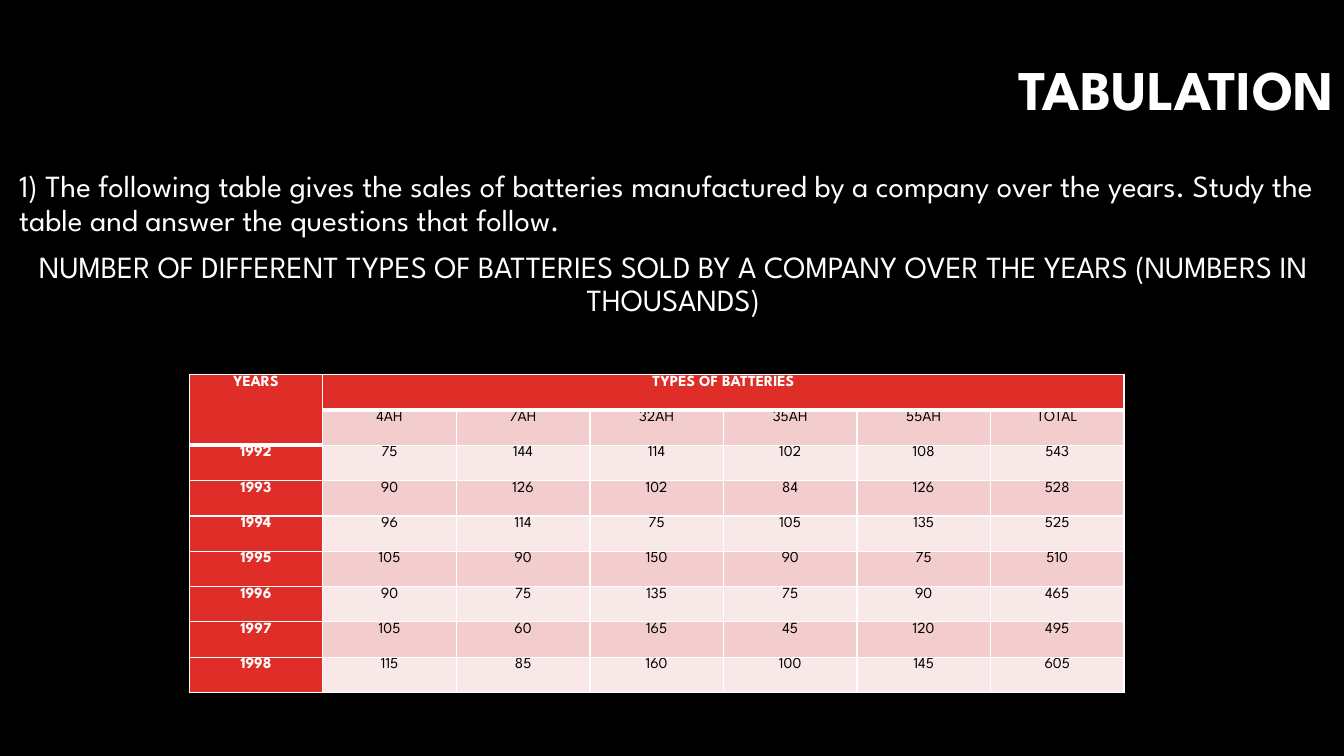
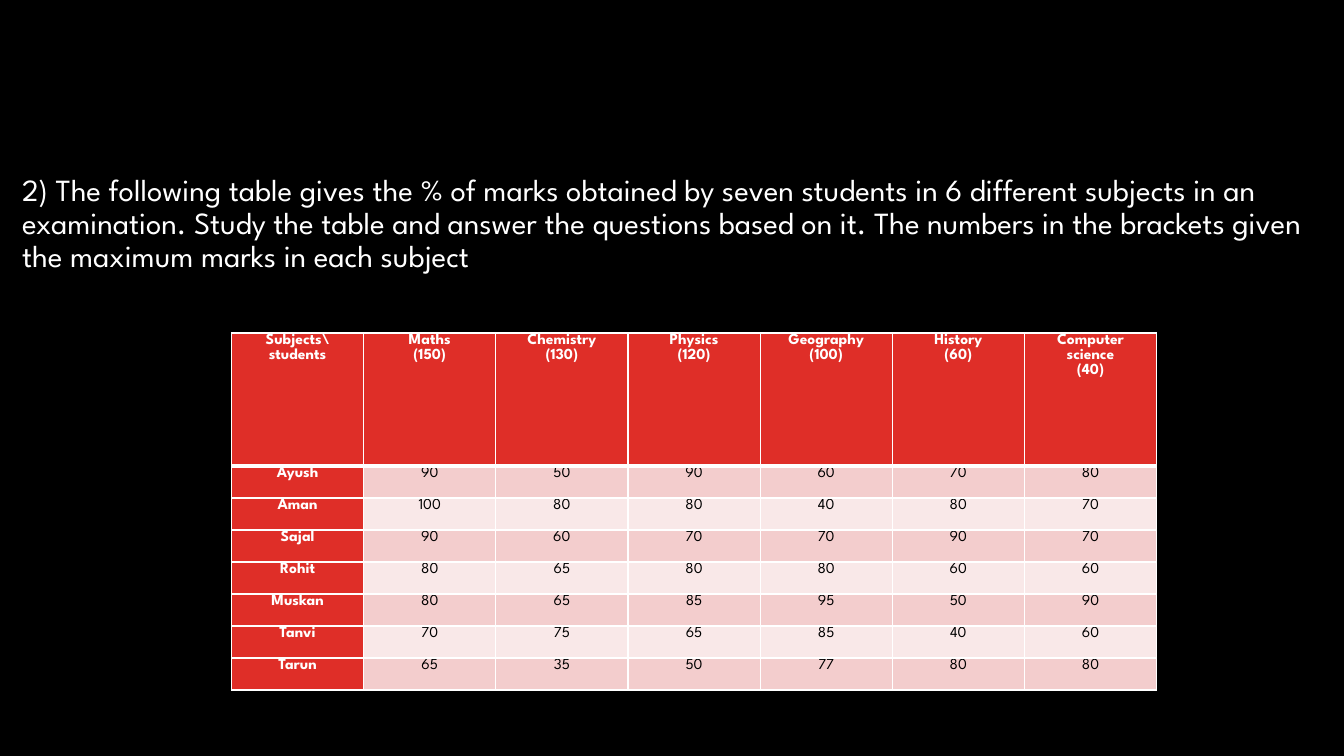
from pptx import Presentation
from pptx.dml.color import RGBColor
from pptx.enum.text import MSO_ANCHOR, MSO_AUTO_SIZE, PP_ALIGN as Align
from pptx.oxml.ns import qn
from pptx.util import Pt
from lxml.etree import SubElement

BLACK = RGBColor(0x00, 0x00, 0x00)
WHITE = RGBColor(0xFF, 0xFF, 0xFF)
RED = RGBColor(0xDF, 0x2E, 0x28)
PINK = RGBColor(0xF3, 0xCD, 0xCD)
PALE_PINK = RGBColor(0xF9, 0xE8, 0xE8)
FONT = "League Spartan"
THIN, THICK = 1, 3

BATTERIES = [
    ["YEARS", "TYPES OF BATTERIES", "", "", "", "", ""],
    ["", "4AH", "7AH", "32AH", "35AH", "55AH", "TOTAL"],
    [1992, 75, 144, 114, 102, 108, 543],
    [1993, 90, 126, 102, 84, 126, 528],
    [1994, 96, 114, 75, 105, 135, 525],
    [1995, 105, 90, 150, 90, 75, 510],
    [1996, 90, 75, 135, 75, 90, 465],
    [1997, 105, 60, 165, 45, 120, 495],
    [1998, 115, 85, 160, 100, 145, 605],
]
MARKS = [
    ["Subjects\\\nstudents", "Maths\n(150)", "Chemistry\n(130)", "Physics\n(120)",
     "Geography\n(100)", "History\n(60)", "Computer science\n(40)"],
    ["Ayush", 90, 50, 90, 60, 70, 80],
    ["Aman", 100, 80, 80, 40, 80, 70],
    ["Sajal", 90, 60, 70, 70, 90, 70],
    ["Rohit", 80, 65, 80, 80, 60, 60],
    ["Muskan", 80, 65, 85, 95, 50, 90],
    ["Tanvi", 70, 75, 65, 85, 40, 60],
    ["Tarun", 65, 35, 50, 77, 80, 80],
]


def style_para(para, size, color, align, spacing, bold=False, before=0):
    """Set the spacing and font of a whole paragraph."""
    para.alignment = align
    para.line_spacing = spacing
    para.space_before = Pt(before)
    para.font.name = FONT
    para.font.size = Pt(size)
    para.font.bold = bold
    para.font.color.rgb = color


def place(box, left, top, width, height):
    """Move a placeholder and keep its text at full size."""
    box.left, box.top, box.width, box.height = Pt(left), Pt(top), Pt(width), Pt(height)
    box.text_frame.auto_size = MSO_AUTO_SIZE.NONE


def add_title(page, text):
    """Fill the title, lifted above the middle of its box."""
    box = page.shapes.title
    place(box, 282, 31.7, 678, 101.5)
    frame = box.text_frame
    frame.text = text
    frame.vertical_anchor = MSO_ANCHOR.MIDDLE
    frame.margin_bottom = Pt(37)
    style_para(frame.paragraphs[0], 40, WHITE, Align.RIGHT, 0.9, bold=True)


def add_body(page, area, lines):
    """Fill the body with plain (text, alignment) paragraphs."""
    box = page.placeholders[1]
    place(box, *area)
    frame = box.text_frame
    frame.text = "\n".join(text for text, _ in lines)
    for index, (para, (_, align)) in enumerate(zip(frame.paragraphs, lines)):
        properties = para._p.get_or_add_pPr()
        properties.set("marL", "0")
        properties.set("indent", "0")
        SubElement(properties, qn("a:buNone"))
        style_para(para, 22, WHITE, align, 0.9, before=10 if index else 0)


def add_border(cell, side, width):
    """Draw one white cell border."""
    line = SubElement(cell._tc.get_or_add_tcPr(), qn("a:" + side), w=str(Pt(width)))
    fill = SubElement(line, qn("a:solidFill"))
    SubElement(fill, qn("a:srgbClr"), val=str(WHITE))


def style_cell(cell, value, row, column, header_depth):
    """Write one cell with its fill, borders and font."""
    in_header = row < header_depth
    is_head = in_header or column == 0
    add_border(cell, "lnL", THIN)
    add_border(cell, "lnR", THIN)
    add_border(cell, "lnT", THICK if row == header_depth else THIN)
    add_border(cell, "lnB", THICK if in_header else THIN)
    cell.fill.solid()
    cell.fill.fore_color.rgb = RED if is_head else PINK if row % 2 else PALE_PINK
    cell.margin_left = cell.margin_right = Pt(5.4)
    cell.margin_top = cell.margin_bottom = 0
    cell.text_frame.text = str(value)
    for para in cell.text_frame.paragraphs:
        style_para(para, 11, WHITE if is_head else BLACK, Align.CENTER, 1.07, bold=is_head)


def add_grid(page, left, top, column_width, row_heights, values, header_depths):
    """Add a table whose header is header_depths[column] rows deep."""
    count = len(values[0])
    table = page.shapes.add_table(
        len(values), count, Pt(left), Pt(top),
        Pt(column_width * count), Pt(sum(row_heights))).table
    for column in table.columns:
        column.width = Pt(column_width)
    for row, height in zip(table.rows, row_heights):
        row.height = Pt(height)
    for row, row_values in enumerate(values):
        for column, value in enumerate(row_values):
            style_cell(table.cell(row, column), value, row, column, header_depths[column])
    return table


def main():
    """Build the two tabulation slides."""
    deck = Presentation()
    deck.slide_width, deck.slide_height = Pt(960), Pt(540)
    background = deck.slide_master.background.fill
    background.solid()
    background.fore_color.rgb = BLACK
    layout = deck.slide_layouts[1]

    page = deck.slides.add_slide(layout)
    add_title(page, "TABULATION")
    add_body(page, (6.5, 118.8, 949, 414), [
        ("1) The following table gives the sales of batteries manufactured by a company "
         "over the years. Study the table and answer the questions that follow.", Align.LEFT),
        ("NUMBER OF DIFFERENT TYPES OF BATTERIES SOLD BY A COMPANY OVER THE YEARS "
         "(NUMBERS IN THOUSANDS)", Align.CENTER),
    ])
    table = add_grid(page, 135.2, 267.6, 95.4, [25.25] * 9, BATTERIES, [2] + [1] * 6)
    table.cell(0, 0).merge(table.cell(1, 0))
    table.cell(0, 1).merge(table.cell(0, 6))

    page = deck.slides.add_slide(layout)
    title = page.shapes.title._element
    title.getparent().remove(title)
    add_body(page, (8.6, 121, 940.3, 411), [
        ("2) The following table gives the % of marks obtained by seven students in 6 "
         "different subjects in an examination. Study the table and answer the questions "
         "based on it. The numbers in the brackets given the maximum marks in each subject",
         Align.LEFT),
    ])
    add_grid(page, 165.4, 237.8, 94.4, [95] + [22.9] * 7, MARKS, [1] * 7)

    deck.save("out.pptx")


if __name__ == "__main__":
    main()
